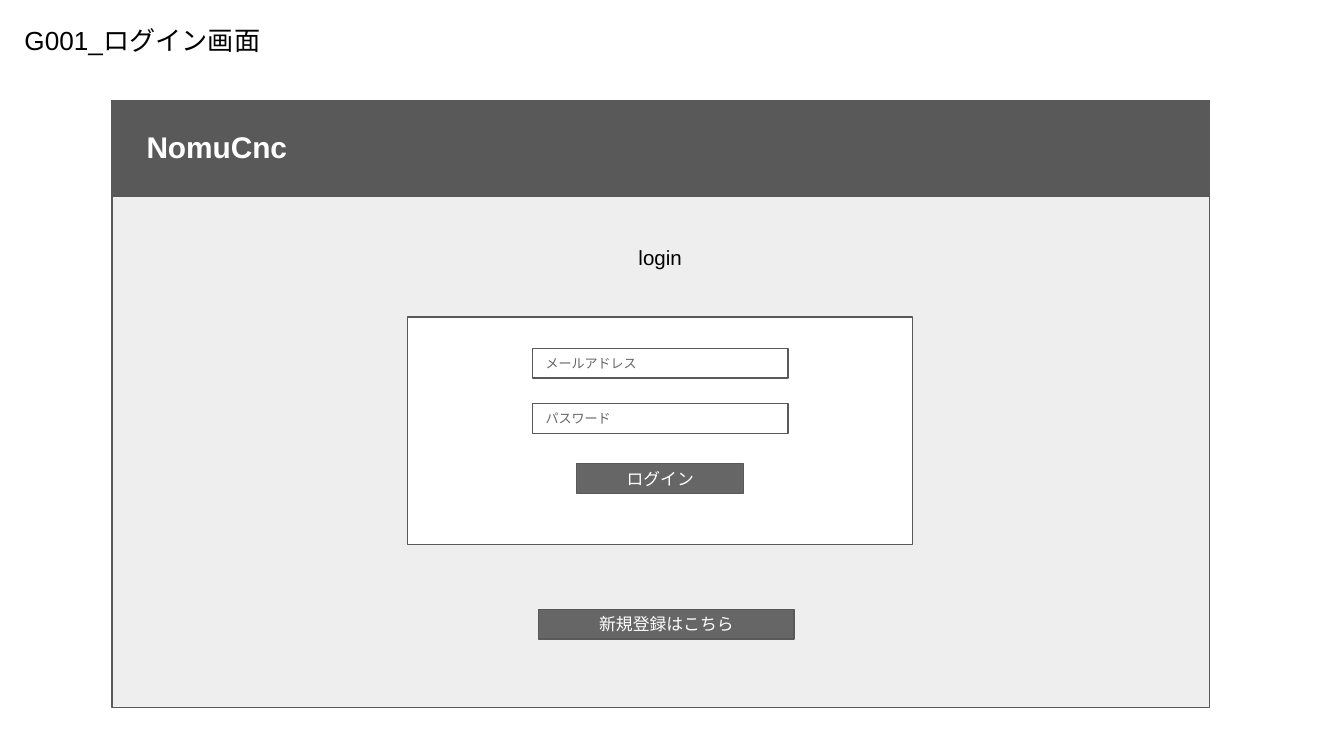
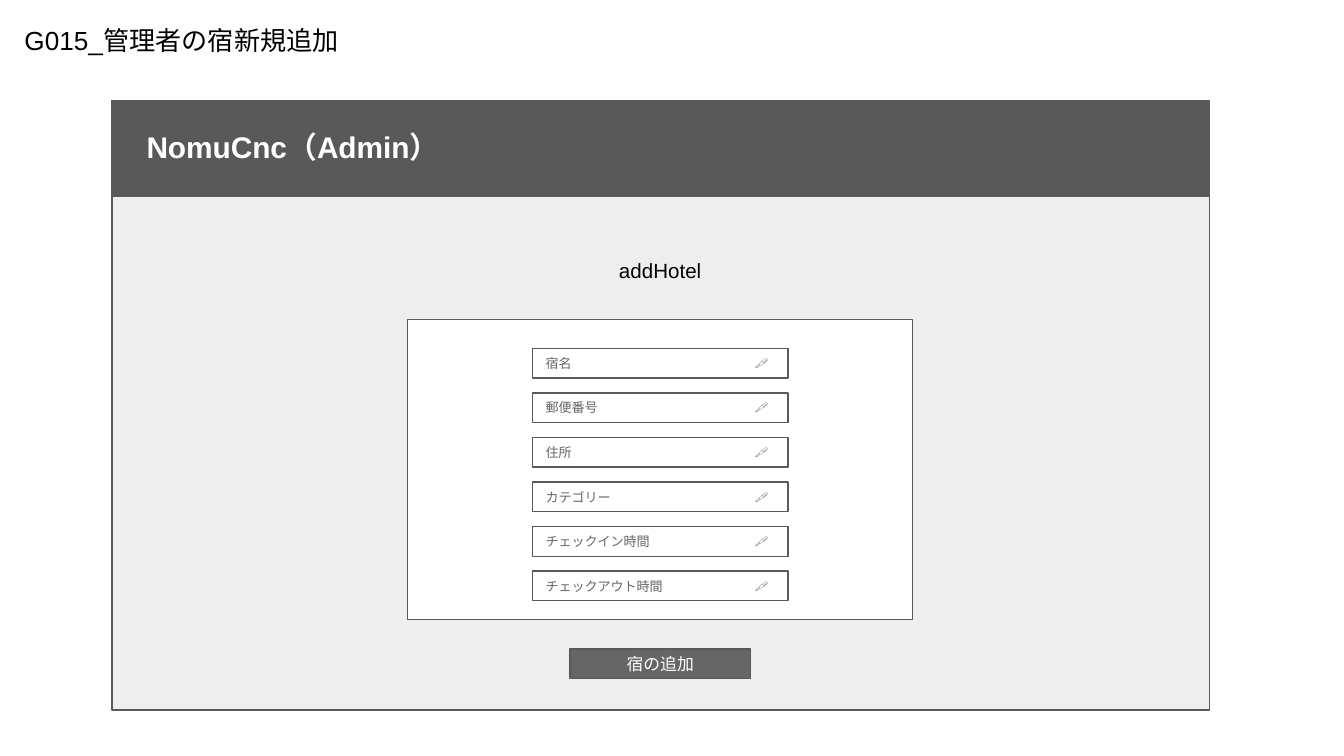
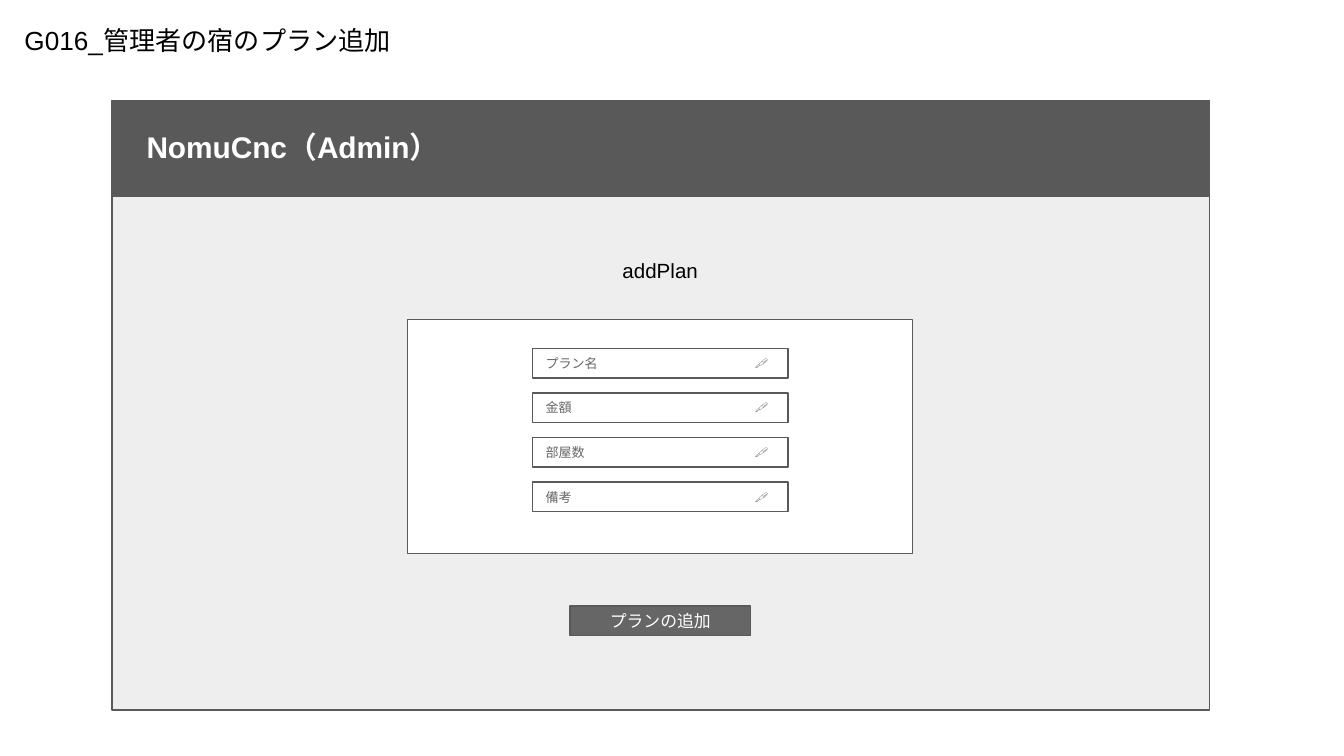
import dataclasses

import lxml.etree
import pptx
import pptx.dml.color
import pptx.enum.shapes
import pptx.enum.text
import pptx.oxml.ns
import pptx.util

ALIGN = pptx.enum.text.PP_ALIGN
ANCHOR = pptx.enum.text.MSO_ANCHOR
COLS, ROWS = 120, 67.5


@dataclasses.dataclass(frozen=True)
class Theme:
    font: str = "Arial"
    ink: str = "000000"
    white: str = "FFFFFF"
    dark: str = "595959"
    button: str = "666666"
    canvas: str = "EEEEEE"
    title_size: int = 14
    brand_size: int = 16
    heading_size: int = 11
    button_size: int = 9
    field_size: int = 7
    line_width: float = 0.75
    inset: float = 0.1


class Wireframe:
    left, width = 10, 98
    centre = 58.95
    bar_top, bar_height = 9, 8.5
    field_top, field_width, field_height = 31.1, 22.8, 2.65
    pen_tab = 18.67

    def __init__(self, prs, theme):
        self.prs = prs
        self.theme = theme
        self.cell = prs.slide_width / COLS
        self.s = None

    def units(self, *cells):
        return [round(c * self.cell) for c in cells]

    def color(self, value):
        return pptx.dml.color.RGBColor.from_string(value)

    def set_text(self, sp, text, size, color, align=ALIGN.LEFT, anchor=ANCHOR.TOP, bold=False):
        tf = sp.text_frame
        tf.text = text
        tf.word_wrap = True
        tf.vertical_anchor = anchor
        inset = pptx.util.Inches(self.theme.inset)
        tf.margin_left = tf.margin_top = tf.margin_right = tf.margin_bottom = inset
        p = tf.paragraphs[0]
        p.alignment = align
        for r in p.runs:
            r.font.name = self.theme.font
            r.font.size = pptx.util.Pt(size)
            r.font.bold = bold
            r.font.color.rgb = self.color(color)
            ea = lxml.etree.SubElement(r._r.get_or_add_rPr(), pptx.oxml.ns.qn("a:ea"))
            ea.set("typeface", self.theme.font)
        return p

    def box(self, left, top, width, height, fill):
        sp = self.s.shapes.add_shape(
            pptx.enum.shapes.MSO_SHAPE.RECTANGLE, *self.units(left, top, width, height))
        sp.shadow.inherit = False
        sp.fill.solid()
        sp.fill.fore_color.rgb = self.color(fill)
        sp.line.color.rgb = self.color(self.theme.dark)
        sp.line.width = pptx.util.Pt(self.theme.line_width)
        return sp

    def label(self, left, top, width, height, text, size, color, **style):
        sp = self.s.shapes.add_textbox(*self.units(left, top, width, height))
        self.set_text(sp, text, size, color, **style)
        sp.text_frame.auto_size = pptx.enum.text.MSO_AUTO_SIZE.SHAPE_TO_FIT_TEXT

    def screen(self, title, brand, top, title_width=32.8):
        t = self.theme
        self.s = self.prs.slides.add_slide(self.prs.slide_layouts[6])
        self.box(self.left, top, self.width, 54.2, t.canvas)
        self.label(1, 1, title_width, 5.3, title, t.title_size, t.ink)
        self.box(self.left, self.bar_top, self.width, self.bar_height, t.dark)
        self.label(11.9, 10.3, 32.8, 5.6, brand, t.brand_size, t.white, bold=True)

    def heading(self, text, top):
        width = 18.2
        self.label(self.centre - width / 2, top, width, 4.7, text,
                   self.theme.heading_size, self.theme.ink, align=ALIGN.CENTER)

    def panel(self, top, height):
        width = 45.1
        self.box(self.centre - width / 2, top, width, height, self.theme.white)

    def fields(self, names, pitch, pen=False):
        t = self.theme
        left = self.centre - self.field_width / 2
        for i, name in enumerate(names):
            sp = self.box(left, self.field_top + i * pitch, self.field_width,
                          self.field_height, t.white)
            text = f"{name}\t🖋" if pen else name
            p = self.set_text(sp, text, t.field_size, t.button, anchor=ANCHOR.MIDDLE)
            if pen:
                self.tab_stop(p)

    def tab_stop(self, p):
        qn = pptx.oxml.ns.qn
        tabs = lxml.etree.SubElement(p._p.get_or_add_pPr(), qn("a:tabLst"))
        tab = lxml.etree.SubElement(tabs, qn("a:tab"))
        tab.set("pos", str(self.units(self.pen_tab)[0]))
        tab.set("algn", "l")

    def button(self, text, top, width, centre=centre):
        t = self.theme
        sp = self.box(centre - width / 2, top, width, self.field_height, t.button)
        self.set_text(sp, text, t.button_size, t.white, ALIGN.CENTER, ANCHOR.MIDDLE)


def login_screen(w):
    w.screen("G001_ログイン画面", "NomuCnc", top=9)
    w.panel(28.3, 20.3)
    w.heading("login", 20.8)
    w.fields(["メールアドレス", "パスワード"], pitch=4.95)
    w.button("ログイン", 41.4, 14.9)
    w.button("新規登録はこちら", 54.4, w.field_width, centre=59.5)


def admin_screen(w, title, heading, names, panel_height, action, action_top, title_width):
    w.screen(title, "NomuCnc（Admin）", 9.2, title_width)
    w.panel(28.55, panel_height)
    w.heading(heading, 21.95)
    w.fields(names, pitch=3.98, pen=True)
    w.button(action, action_top, 16.1)


def main():
    prs = pptx.Presentation()
    prs.slide_width = pptx.util.Inches(10)
    prs.slide_height = round(prs.slide_width * ROWS / COLS)
    w = Wireframe(prs, Theme())
    login_screen(w)
    admin_screen(w, "G015_管理者の宿新規追加", "addHotel",
                 ["宿名", "郵便番号", "住所", "カテゴリー", "チェックイン時間", "チェックアウト時間"],
                 26.75, "宿の追加", 57.95, 32.8)
    admin_screen(w, "G016_管理者の宿のプラン追加", "addPlan",
                 ["プラン名", "金額", "部屋数", "備考"],
                 20.9, "プランの追加", 54.1, 38.2)
    prs.save("out.pptx")


if __name__ == "__main__":
    main()
